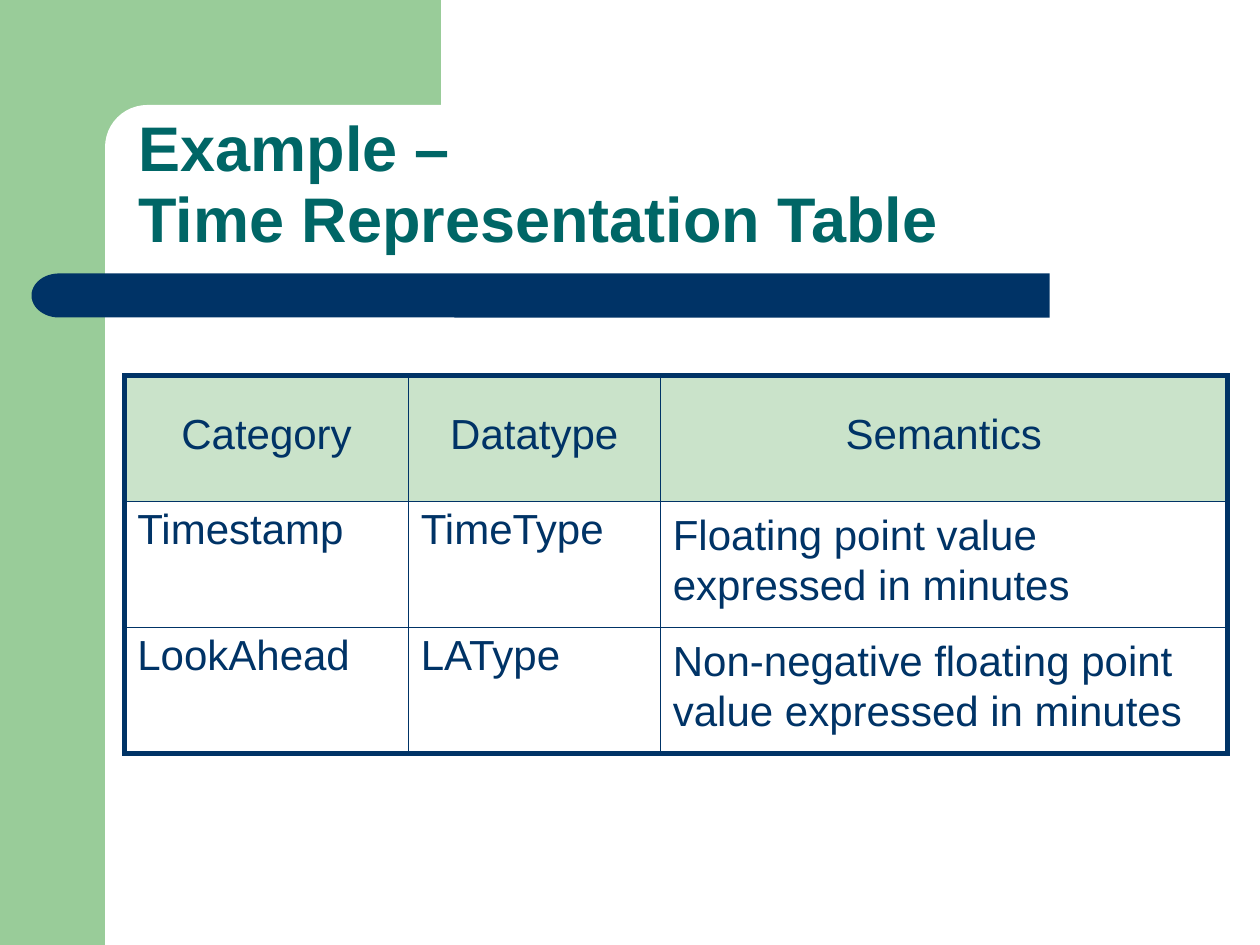
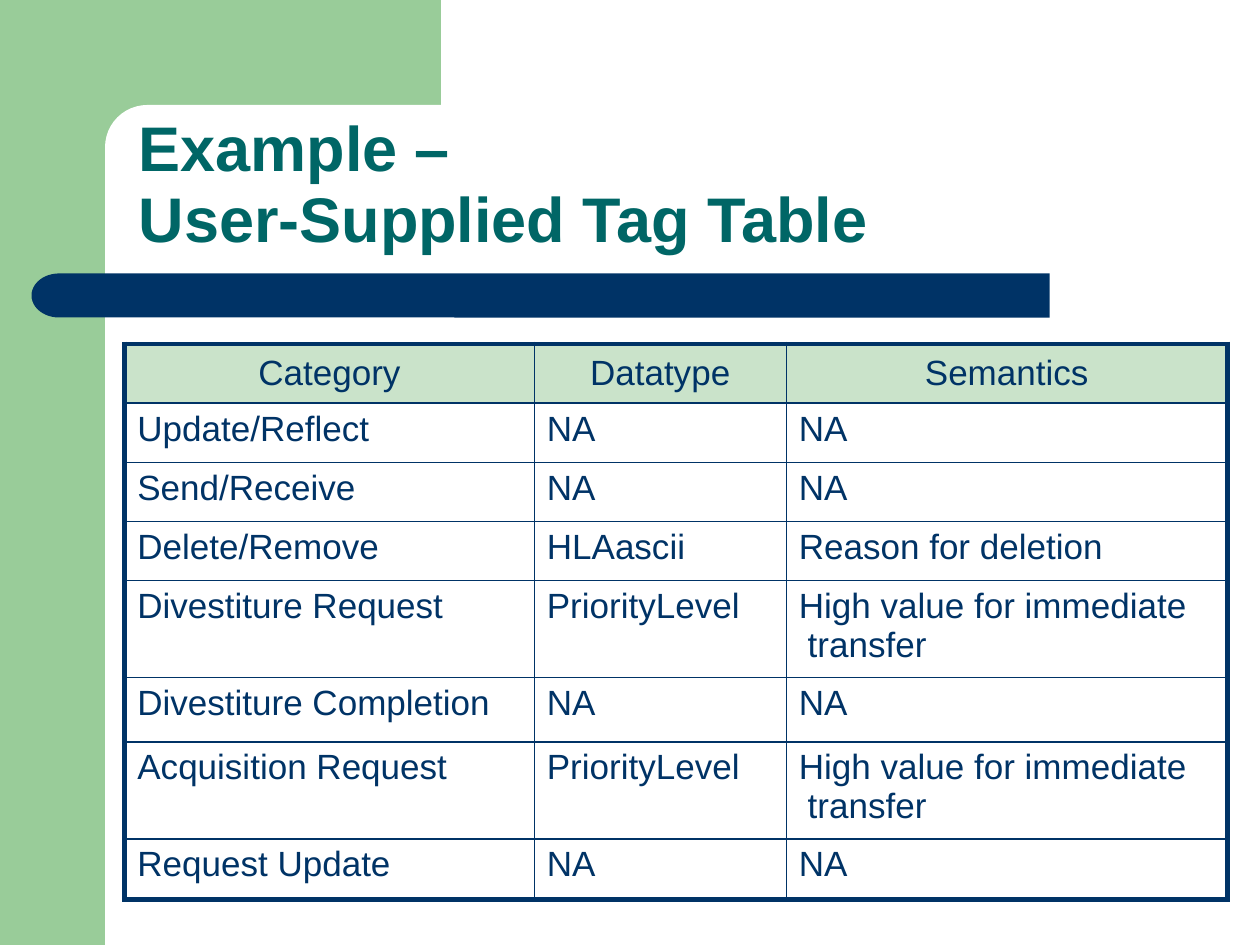
"""Builds two slides with example tables from an object model template."""
from math import cos, pi, sin

from lxml.etree import SubElement
from pptx import Presentation
from pptx.dml.color import RGBColor
from pptx.enum.shapes import MSO_SHAPE
from pptx.enum.text import MSO_ANCHOR, MSO_AUTO_SIZE, PP_ALIGN
from pptx.oxml.ns import qn
from pptx.util import Inches, Pt

COLORS = {"green": "99CC99", "white": "FFFFFF", "navy": "003366",
          "teal": "006666", "header": "CAE3CA"}
FONT = "Arial"
WIDTH, HEIGHT = 10, 7.5
MARGIN = WIDTH / 12
TABLE_LEFT = 0.99
CELL_INSET = 0.1
OUTER_LINE, INNER_LINE = 3, 1

HEADINGS = ("Category", "Datatype", "Semantics")
TABLES = [
    {
        "title": ("Example –", "Time Representation Table"),
        "top": 2.98, "columns": (2.25, 2, 4.5), "rows": (1, 1, 1),
        "size": 24, "header_inset": 0.29, "insets": (0.04, 0.04, 0.06),
        "semantics_spacing": 28.7, "hanging": 0,
        "body": [
            ("Timestamp", "TimeType", "Floating point value expressed in minutes"),
            ("LookAhead", "LAType",
             "Non-negative floating point value expressed in minutes"),
        ],
    },
    {
        "title": ("Example –", "User-Supplied Tag Table"),
        "top": 2.73, "columns": (3.25, 2, 3.5),
        "rows": (0.47, 0.47, 0.47, 0.47, 0.77, 0.51, 0.77, 0.48),
        "size": 20, "header_inset": 0.08, "insets": (0.05, 0.05, 0.05),
        "semantics_spacing": None, "hanging": 0.07,
        "body": [
            ("Update/Reflect", "NA", "NA"),
            ("Send/Receive", "NA", "NA"),
            ("Delete/Remove", "HLAascii", "Reason for deletion"),
            ("Divestiture Request", "PriorityLevel",
             "High value for immediate transfer"),
            ("Divestiture Completion", "NA", "NA"),
            ("Acquisition Request", "PriorityLevel",
             "High value for immediate transfer"),
            ("Request Update", "NA", "NA"),
        ],
    },
]


def rgb(name):
    return RGBColor.from_string(COLORS[name])


def paint(shape, color):
    shape.shadow.inherit = False
    shape.fill.solid()
    shape.fill.fore_color.rgb = rgb(color)
    shape.line.fill.background()
    return shape


def outline(slide, points, color):
    start, *others = [(Inches(x), Inches(y)) for x, y in points]
    builder = slide.shapes.build_freeform(*start)
    builder.add_line_segments(others, close=True)
    return paint(builder.convert_to_shape(), color)


def move_backdrop_to_layout(slide):
    corner_right, corner_bottom = 3.5, 1.17
    corner = outline(slide, [
        (0, 0), (corner_right, 0), (corner_right, corner_bottom),
        (MARGIN, corner_bottom), (MARGIN, HEIGHT), (0, HEIGHT)], "green")

    panel = paint(slide.shapes.add_shape(
        MSO_SHAPE.ROUNDED_RECTANGLE, Inches(MARGIN), Inches(MARGIN),
        Inches(5.58), Inches(0.67)), "white")
    panel.adjustments[0] = 0.5

    bar_right, bar_top, bar_height = 8.33, 2.17, 0.35
    cap_x, cap_width, steps = 0.47, 0.22, 24
    middle = bar_top + bar_height / 2
    angles = [pi * step / steps for step in range(steps + 1)]
    cap = [(cap_x - cap_width * sin(a), middle - bar_height / 2 * cos(a))
           for a in angles]
    bar = outline(slide, [(bar_right, bar_top), *cap,
                          (bar_right, bar_top + bar_height)], "navy")

    layout_tree = slide.slide_layout.shapes._spTree
    for position, part in enumerate((corner, panel, bar), start=2):
        layout_tree.insert(position, part._element)


def write(paragraph, text, size, color, bold=False):
    run = paragraph.add_run()
    run.text = text
    run.font.name = FONT
    run.font.size = Pt(size)
    run.font.bold = bold
    run.font.color.rgb = rgb(color)


def write_title(slide, lines):
    title = slide.shapes.title
    title.left, title.top = Inches(1.09), Inches(0.88)
    title.width, title.height = Inches(6.6), Inches(1.17)
    frame = title.text_frame
    frame.auto_size = MSO_AUTO_SIZE.NONE
    frame.word_wrap = True
    frame.vertical_anchor = MSO_ANCHOR.TOP
    frame.margin_left = frame.margin_top = Inches(0.01)
    frame.margin_right = frame.margin_bottom = 0
    for index, line in enumerate(lines):
        paragraph = frame.add_paragraph() if index else frame.paragraphs[0]
        paragraph.alignment = PP_ALIGN.LEFT
        paragraph.line_spacing = Pt(41)
        write(paragraph, line, 36, "teal", bold=True)


def draw_borders(cell, outer_sides):
    properties = cell._tc.get_or_add_tcPr()
    for position, side in enumerate("LRTB"):
        weight = OUTER_LINE if side in outer_sides else INNER_LINE
        line = SubElement(properties, qn(f"a:ln{side}"), w=str(Pt(weight)))
        fill = SubElement(line, qn("a:solidFill"))
        SubElement(fill, qn("a:srgbClr"), val=COLORS["navy"])
        properties.insert(position, line)


def add_table(slide, spec):
    columns, heights = spec["columns"], spec["rows"]
    table = slide.shapes.add_table(
        len(heights), len(columns), Inches(TABLE_LEFT), Inches(spec["top"]),
        Inches(sum(columns)), Inches(sum(heights))).table
    table.first_row = table.horz_banding = False
    for column, width in zip(table.columns, columns):
        column.width = Inches(width)
    last_row, last_column = len(heights) - 1, len(columns) - 1

    for r, texts in enumerate([HEADINGS, *spec["body"]]):
        table.rows[r].height = Inches(heights[r])
        for c, text in enumerate(texts):
            cell = table.cell(r, c)
            paragraph = cell.text_frame.paragraphs[0]
            cell.vertical_anchor = MSO_ANCHOR.TOP
            cell.margin_bottom = 0
            cell.margin_left = cell.margin_right = Inches(CELL_INSET)
            if r == 0:
                cell.fill.solid()
                cell.fill.fore_color.rgb = rgb("header")
                cell.margin_top = Inches(spec["header_inset"])
                paragraph.alignment = PP_ALIGN.CENTER
            else:
                cell.fill.background()
                cell.margin_top = Inches(spec["insets"][c])
                if c == last_column:
                    hanging = Inches(spec["hanging"])
                    indents = paragraph._p.get_or_add_pPr()
                    indents.set("marL", str(hanging))
                    indents.set("indent", str(-hanging))
                    if spec["semantics_spacing"]:
                        paragraph.line_spacing = Pt(spec["semantics_spacing"])
            write(paragraph, text, spec["size"], "navy")
            edges = {"L": c == 0, "R": c == last_column,
                     "T": r == 0, "B": r == last_row}
            draw_borders(cell, [side for side, outer in edges.items() if outer])


def main():
    deck = Presentation()
    deck.slide_width, deck.slide_height = Inches(WIDTH), Inches(HEIGHT)
    title_only = deck.slide_layouts[5]
    for index, spec in enumerate(TABLES):
        slide = deck.slides.add_slide(title_only)
        if index == 0:
            move_backdrop_to_layout(slide)
        write_title(slide, spec["title"])
        add_table(slide, spec)
    deck.save("out.pptx")


if __name__ == "__main__":
    main()
